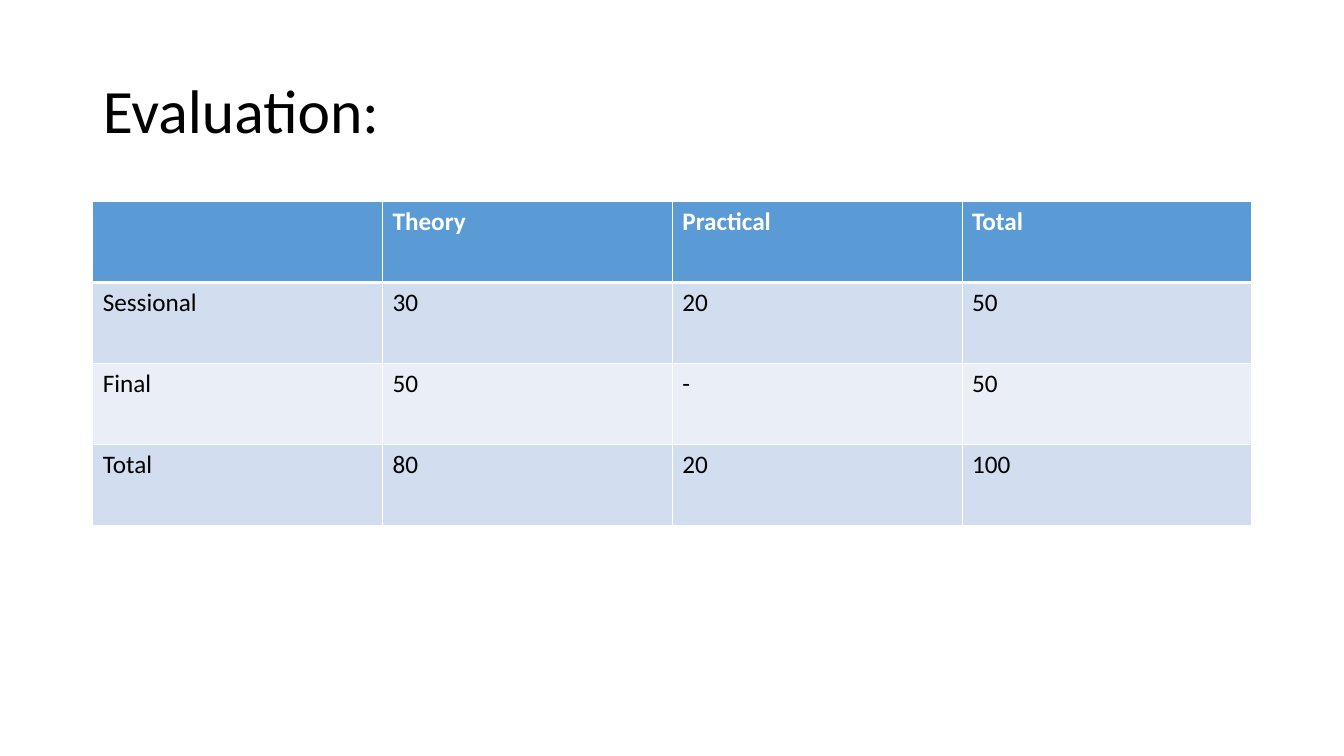
from dataclasses import dataclass

from lxml.etree import SubElement
from pptx import Presentation
from pptx.dml.color import RGBColor
from pptx.enum.text import MSO_ANCHOR, PP_ALIGN
from pptx.oxml.ns import qn
from pptx.table import _Cell
from pptx.text.text import TextFrame
from pptx.util import Inches, Pt

HUES = {"ink": "000000", "white": "FFFFFF", "head": "5B9BD5",
        "dark": "D2DEEF", "light": "EAEFF7"}
FONT = "Calibri"
WIDE, HIGH = Inches(13.333), Inches(7.5)
LEFT, SPAN = Inches(0.92), Inches(11.5)
ROW = Inches(0.803)


@dataclass
class Band:
    """One table row and its look."""
    cells: tuple[str, ...]
    fill: str
    ink: str = "ink"
    bold: bool = False
    rule: float = 1


BANDS = [
    Band(("", "Theory", "Practical", "Total"), "head", "white", True, 3),
    Band(("Sessional", "30", "20", "50"), "dark"),
    Band(("Final", "50", "-", "50"), "light"),
    Band(("Total", "80", "20", "100"), "dark"),
]


def write(frame: TextFrame, text: str, *, size: float = 18,
          ink: str = "ink", bold: bool = False, lead: float = 1) -> None:
    para = frame.paragraphs[0]
    para.alignment, para.line_spacing = PP_ALIGN.LEFT, lead
    # The paragraph font also sizes an empty cell
    fonts = [para.font]
    if text:
        run = para.add_run()
        run.text = text
        fonts = [run.font]
    for font in fonts:
        font.name, font.size, font.bold = FONT, Pt(size), bold
        font.color.rgb = RGBColor.from_string(HUES[ink])


def edge(cell: _Cell, sides: dict[str, float]) -> None:
    props = cell._tc.get_or_add_tcPr()
    for side, width in sides.items():
        line = SubElement(props, qn(f"a:ln{side}"), w=str(Pt(width)))
        fill = SubElement(line, qn("a:solidFill"))
        SubElement(fill, qn("a:srgbClr"), val=HUES["white"])


def paint(cell: _Cell, text: str, band: Band, first: bool) -> None:
    # A lower row takes its top rule from the row above
    top = {"T": 1} if first else {}
    edge(cell, {"L": 1, "R": 1, **top, "B": band.rule})
    cell.fill.solid()
    cell.fill.fore_color.rgb = RGBColor.from_string(HUES[band.fill])
    write(cell.text_frame, text, ink=band.ink, bold=band.bold)


# Slide
deck = Presentation()
deck.slide_width, deck.slide_height = WIDE, HIGH
slide = deck.slides.add_slide(deck.slide_layouts[5])

# Title
title = slide.shapes.title
title.left, title.top = LEFT, Inches(0.4)
title.width, title.height = SPAN, Inches(1.45)
title.text_frame.vertical_anchor = MSO_ANCHOR.MIDDLE
write(title.text_frame, "Evaluation:", size=44, lead=0.9)

# Marks table
count = len(BANDS[0].cells)
grid = slide.shapes.add_table(len(BANDS), count, LEFT, Inches(2),
                              SPAN, ROW * len(BANDS)).table
for row, band in enumerate(BANDS):
    for col, text in enumerate(band.cells):
        paint(grid.cell(row, col), text, band, row == 0)

deck.save("out.pptx")
